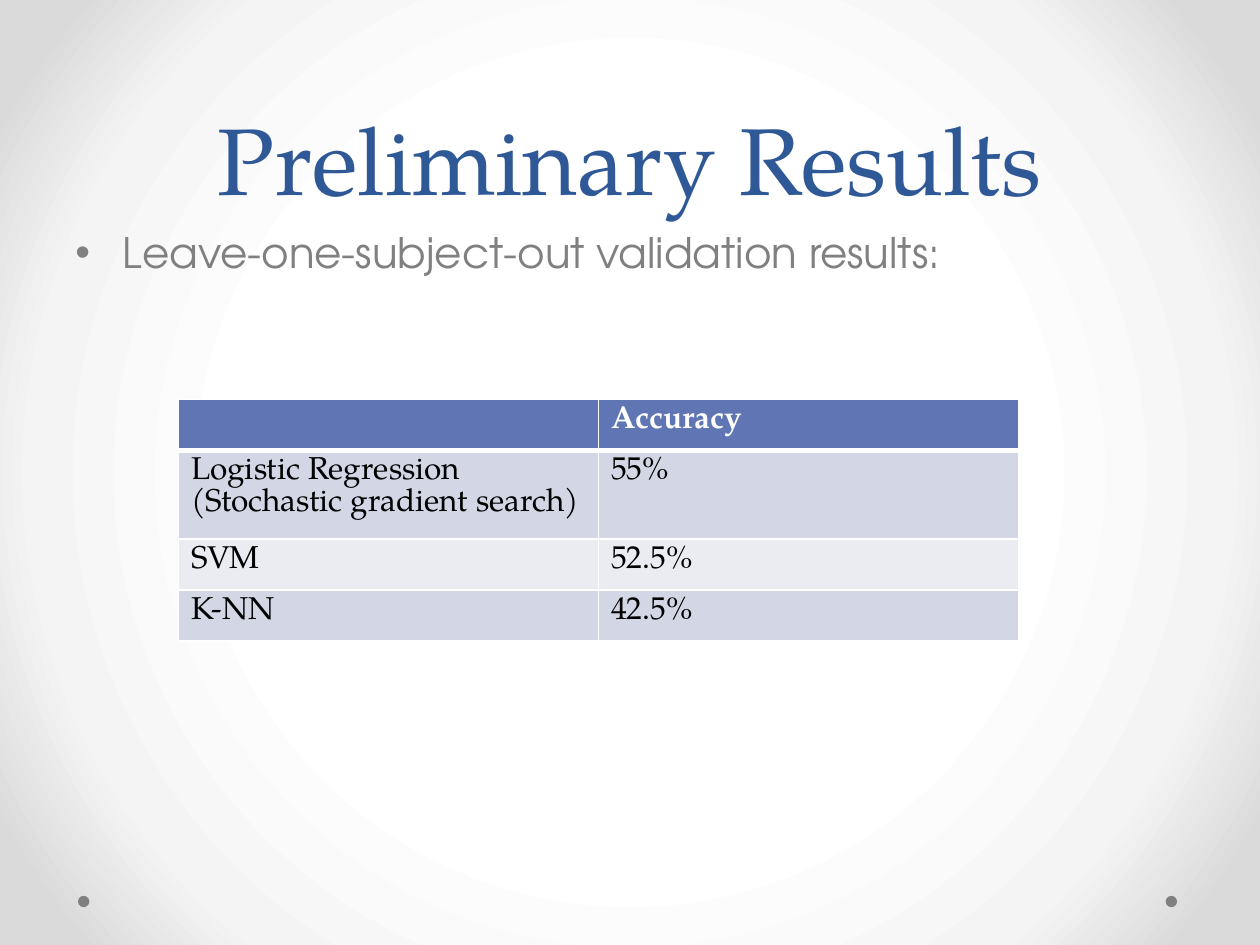
from dataclasses import dataclass

from lxml.etree import SubElement
from pptx import Presentation
from pptx.dml.color import RGBColor
from pptx.enum.shapes import MSO_SHAPE
from pptx.enum.text import MSO_ANCHOR, PP_ALIGN
from pptx.oxml import parse_xml
from pptx.oxml.ns import nsdecls, qn
from pptx.util import Pt


@dataclass(frozen=True)
class Theme:
    """Colours, fonts and type sizes of the slide."""
    title: str = "2F5897"
    muted: str = "808080"
    header: str = "6076B4"
    bands: tuple = ("D2D6E5", "EAECF2")
    white: str = "FFFFFF"
    black: str = "000000"
    backdrop: tuple = ((50, "FFFFFF"), (76, "F4F4F4"), (92, "DADADA"))
    serif: str = "TeX Gyre Pagella"
    sans: str = "TeX Gyre Adventor"
    title_size: int = 54
    body_size: int = 24
    table_size: int = 18


THEME = Theme()


def style_font(paragraph, face, size, color, bold=False):
    """Set the font of a whole paragraph."""
    font = paragraph.font
    font.name, font.size, font.bold = face, Pt(size), bold
    font.color.rgb = RGBColor.from_string(color)


def paint_backdrop(slide):
    """Fill the slide background with a circular gradient."""
    stops = "".join(
        f'<a:gs pos="{percent * 1000}"><a:srgbClr val="{color}"/></a:gs>'
        for percent, color in THEME.backdrop)
    slide.element.cSld.insert(0, parse_xml(
        f'<p:bg {nsdecls("p", "a")}><p:bgPr><a:gradFill rotWithShape="1">'
        f'<a:gsLst>{stops}</a:gsLst><a:path path="circle">'
        '<a:fillToRect l="50000" t="50000" r="50000" b="50000"/></a:path>'
        '</a:gradFill><a:effectLst/></p:bgPr></p:bg>'))


def add_corner_dots(slide, left, top, width, size):
    """Place a dot at each end of a strip."""
    for x in (left, left + width - size):
        dot = slide.shapes.add_shape(MSO_SHAPE.OVAL, Pt(x), Pt(top), Pt(size), Pt(size))
        dot.shadow.inherit = False
        dot.fill.solid()
        dot.fill.fore_color.rgb = RGBColor.from_string(THEME.muted)
        dot.line.fill.background()


def add_text(slide, text, left, top, width, height, anchor):
    """Add a wrapped text box and return its paragraph."""
    frame = slide.shapes.add_textbox(Pt(left), Pt(top), Pt(width), Pt(height)).text_frame
    frame.word_wrap = True
    frame.vertical_anchor = anchor
    frame.text = text
    return frame.paragraphs[0]


def add_title(slide, text, left, top, width, height):
    """Add the centred heading at the bottom of its box."""
    heading = add_text(slide, text, left, top, width, height, MSO_ANCHOR.BOTTOM)
    heading.alignment = PP_ALIGN.CENTER
    heading.line_spacing = Pt(58)
    style_font(heading, THEME.serif, THEME.title_size, THEME.title)


def add_bullet(slide, text, left, top, width, height):
    """Add the bulleted statement with a hanging indent."""
    statement = add_text(slide, text, left, top, width, height, MSO_ANCHOR.TOP)
    statement.space_before = Pt(0.2 * THEME.body_size)
    style_font(statement, THEME.sans, THEME.body_size, THEME.muted)
    properties = statement._p.get_or_add_pPr()
    properties.set("marL", str(Pt(27)))
    properties.set("indent", str(Pt(-27)))
    SubElement(properties, qn("a:buFont")).set("typeface", "Arial")
    SubElement(properties, qn("a:buChar")).set("char", "•")
    properties.append(properties.find(qn("a:defRPr")))


def draw_borders(cell, top, bottom):
    """Draw white cell borders with the given top and bottom widths."""
    properties = cell._tc.get_or_add_tcPr()
    for index, (side, width) in enumerate(zip("LRTB", (1, 1, top, bottom))):
        properties.insert(index, parse_xml(
            f'<a:ln{side} {nsdecls("a")} w="{Pt(width)}"><a:solidFill>'
            f'<a:srgbClr val="{THEME.white}"/></a:solidFill></a:ln{side}>'))


def add_results(slide, rows, left, top, width, height):
    """Add the accuracy table with a header and alternating bands."""
    results = slide.shapes.add_table(
        len(rows), len(rows[0]), Pt(left), Pt(top), Pt(width), Pt(height)).table
    for r, values in enumerate(rows):
        is_header = r == 0
        results.rows[r].height = Pt(height / len(rows))
        fill = THEME.header if is_header else THEME.bands[(r - 1) % 2]
        ink = THEME.white if is_header else THEME.black
        for c, value in enumerate(values):
            cell = results.cell(r, c)
            cell.text = value
            cell.fill.solid()
            cell.fill.fore_color.rgb = RGBColor.from_string(fill)
            draw_borders(cell, 3 if r == 1 else 1, 3 if is_header else 1)
            style_font(cell.text_frame.paragraphs[0], THEME.serif,
                       THEME.table_size, ink, is_header)


def build_results_slide(presentation):
    """Build the slide with its heading, statement and table."""
    slide = presentation.slides.add_slide(presentation.slide_layouts[6])
    paint_backdrop(slide)
    add_corner_dots(slide, 44.6, 511.9, 628, 6.5)
    add_title(slide, "Preliminary Results", 36, 0, 648, 126)
    add_bullet(slide, "Leave-one-subject-out validation results:", 36, 126, 648, 356)
    add_results(slide, [
        ("", "Accuracy"),
        ("Logistic Regression (Stochastic gradient search)", "55%"),
        ("SVM", "52.5%"),
        ("K-NN", "42.5%"),
    ], 102, 228.4, 480, 116.8)


presentation = Presentation()
presentation.slide_width, presentation.slide_height = Pt(720), Pt(540)
build_results_slide(presentation)
presentation.save("out.pptx")
